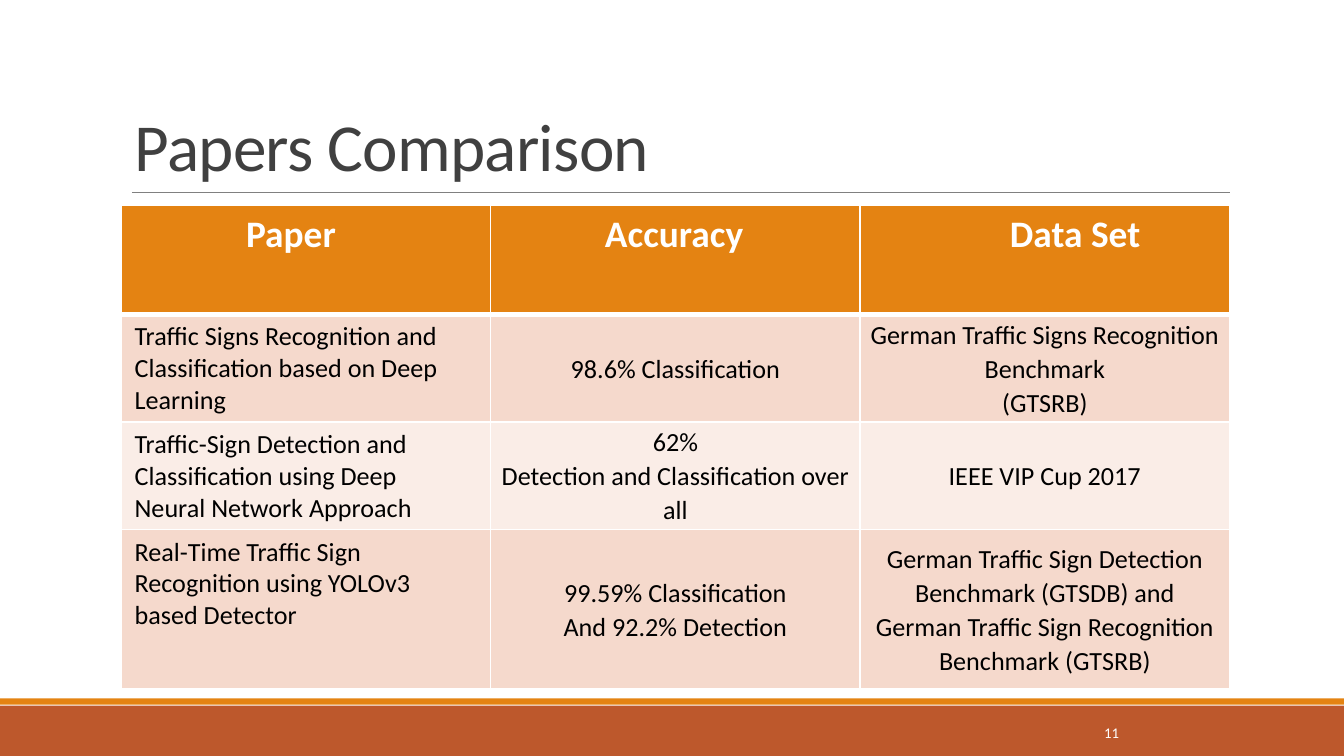
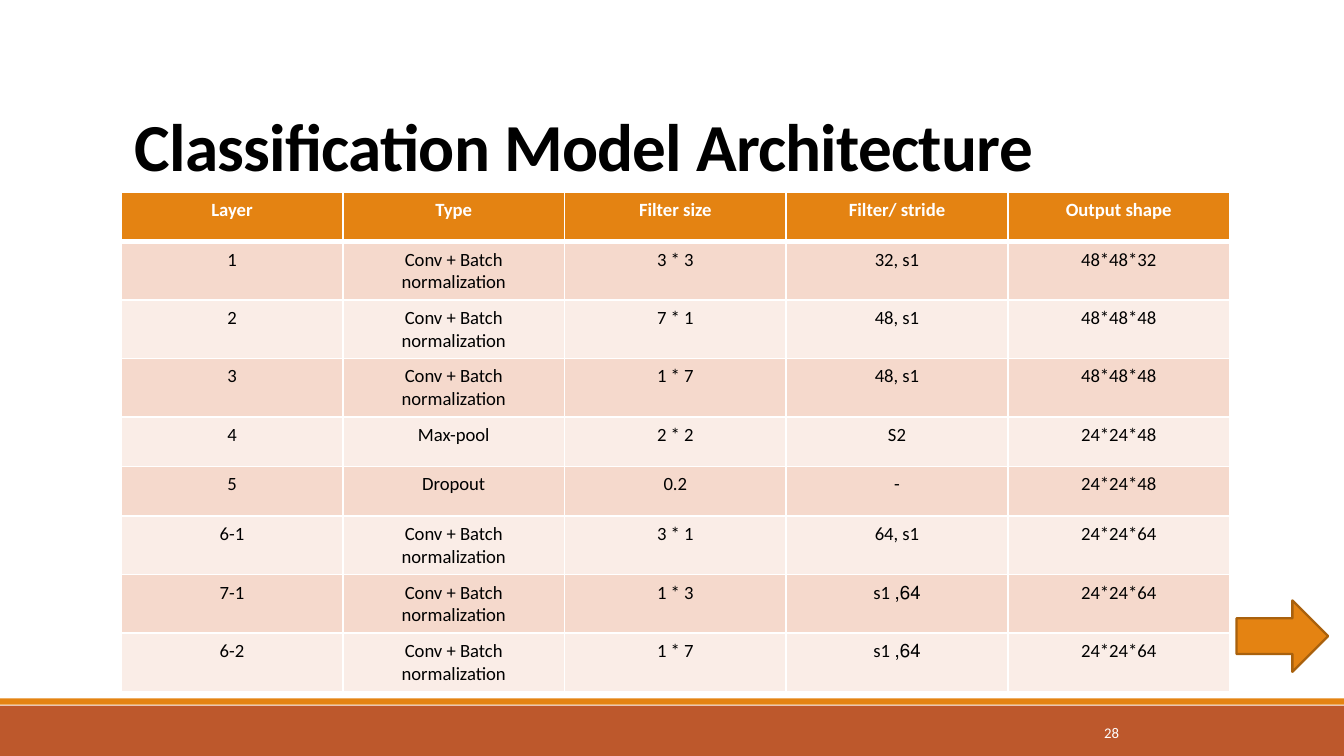
import collections

import lxml.etree
import pptx
import pptx.dml.color
import pptx.enum.shapes
import pptx.enum.text
import pptx.oxml.ns
import pptx.util

Cm = pptx.util.Cm
Pt = pptx.util.Pt
ALIGN = pptx.enum.text.PP_ALIGN
ANCHOR = pptx.enum.text.MSO_ANCHOR
SHAPE = pptx.enum.shapes.MSO_SHAPE
Box = collections.namedtuple("Box", "left top width height")

# Shared look, lengths in centimetres
FONT = "Calibri"
ORANGE, RUST, WHITE, BLACK = "E48312", "BD582C", "FFFFFF", "000000"
BAND_FILLS = ("F5D9CC", "FAEDE7")
PAGE = Box(0, 0, 25.4, 14.29)
TITLE = Box(2.29, 0.61, 20.95, 3.02)
FOOTER = Box(0, 13.2, 25.4, 1.09)

PAPER_HEADERS = ("Paper", "Accuracy", "Data Set")
HEADER_INDENTS = (2.36, 2.16, 2.83)
PAPERS = (
    ("Traffic Signs Recognition and Classification based on Deep Learning",
     "98.6% Classification",
     "German Traffic Signs Recognition Benchmark\n(GTSRB)"),
    ("Traffic-Sign Detection and Classification using Deep\nNeural Network Approach",
     "62%\nDetection and Classification over all",
     "IEEE VIP Cup 2017"),
    ("Real-Time Traffic Sign Recognition using YOLOv3 based Detector",
     "99.59% Classification\nAnd 92.2% Detection",
     "German Traffic Sign Detection Benchmark (GTSDB) and\n"
     "German Traffic Sign Recognition Benchmark (GTSRB)"),
)

CONVOLUTION = "Conv + Batch normalization"
LAYER_HEADERS = ("Layer", "Type", "Filter size", "Filter/ stride", "Output shape")
LAYERS = (
    ("1", CONVOLUTION, "3 * 3", "32, s1", "48*48*32"),
    ("2", CONVOLUTION, "7 * 1", "48, s1", "48*48*48"),
    ("3", CONVOLUTION, "1 * 7", "48, s1", "48*48*48"),
    ("4", "Max-pool", "2 * 2", "S2", "24*24*48"),
    ("5", "Dropout", "0.2", "-", "24*24*48"),
    ("6-1", CONVOLUTION, "3 * 1", "64, s1", "24*24*64"),
    ("7-1", CONVOLUTION, "1 * 3", "64, s1", "24*24*64"),
    ("6-2", CONVOLUTION, "1 * 7", "64, s1", "24*24*64"),
)
RIGHT_TO_LEFT_STRIDES = ("7-1", "6-2")


def color(hex_value):
    return pptx.dml.color.RGBColor.from_string(hex_value)


def set_values(target, values):
    for name, value in values.items():
        setattr(target, name, value)


def lengths(box):
    return [Cm(value) for value in box]


def write_text(frame, text, size, hex_value, bold=False, right_to_left=False, **paragraph_values):
    """Write one paragraph for each line of text."""
    for index, line in enumerate(text.split("\n")):
        paragraph = frame.paragraphs[0] if index == 0 else frame.add_paragraph()
        set_values(paragraph, paragraph_values)
        if right_to_left:
            paragraph._p.get_or_add_pPr().set("rtl", "1")
        run = paragraph.add_run()
        run.text = line
        set_values(run.font, {"name": FONT, "size": Pt(size), "bold": bold})
        run.font.color.rgb = color(hex_value)


def add_block(slide, kind, box, fill, outline=None):
    shape = slide.shapes.add_shape(kind, *lengths(box))
    shape.shadow.inherit = False
    shape.fill.solid()
    shape.fill.fore_color.rgb = color(fill)
    if outline:
        shape.line.color.rgb = color(outline)
        shape.line.width = Pt(1.25)
    else:
        shape.line.fill.background()


def add_title(slide, box, text, hex_value, bold):
    title = slide.shapes.title
    set_values(title, dict(zip(box._fields, lengths(box))))
    set_values(title.text_frame, {
        "vertical_anchor": ANCHOR.BOTTOM, "word_wrap": True,
        "auto_size": pptx.enum.text.MSO_AUTO_SIZE.NONE})
    write_text(title.text_frame, text, 36, hex_value, bold,
               alignment=ALIGN.LEFT, line_spacing=0.85)
    for run in title.text_frame.paragraphs[0].runs:
        run._r.get_or_add_rPr().set("spc", "-40")

    # Rule along the bottom of the title
    bottom = box.top + box.height
    rule = slide.shapes.add_connector(
        pptx.enum.shapes.MSO_CONNECTOR.STRAIGHT,
        *lengths((box.left + 0.2, bottom, box.left + box.width, bottom)))
    rule.line.color.rgb = color("808080")
    rule.line.width = Pt(0.5)
    lxml.etree.SubElement(rule._element.spPr, pptx.oxml.ns.qn("a:effectLst"))


def add_footer(slide, box, number):
    strip = 0.14
    add_block(slide, SHAPE.RECTANGLE,
              Box(box.left, box.top + strip, box.width, box.height - strip), RUST)
    add_block(slide, SHAPE.RECTANGLE, box._replace(height=strip - 0.02), ORANGE)
    label = slide.shapes.add_textbox(
        *lengths(Box(box.left + 20.62, box.top + 0.26, 2.74, 0.76)))
    set_values(label.text_frame, {"word_wrap": True, "vertical_anchor": ANCHOR.MIDDLE})
    write_text(label.text_frame, number, 7.9, WHITE)


def add_borders(cell, top, bottom):
    """Draw white edges of the given widths in points; the sides are one point."""
    properties = cell._tc.get_or_add_tcPr()
    for index, (edge, width) in enumerate(
            {"lnL": 1, "lnR": 1, "lnT": top, "lnB": bottom}.items()):
        line = lxml.etree.Element(pptx.oxml.ns.qn("a:" + edge), w=str(Pt(width)))
        fill = lxml.etree.SubElement(line, pptx.oxml.ns.qn("a:solidFill"))
        lxml.etree.SubElement(fill, pptx.oxml.ns.qn("a:srgbClr"), val=WHITE)
        properties.insert(index, line)


def add_grid(slide, box, column_count, row_heights):
    """Add an empty table with equal columns, an orange header and banded rows."""
    table = slide.shapes.add_table(len(row_heights), column_count, *lengths(box)).table
    for column in table.columns:
        column.width = Cm(box.width / column_count)
    for row_index, height in enumerate(row_heights):
        table.rows[row_index].height = Cm(height)
        for cell in table.rows[row_index].cells:
            cell.fill.solid()
            cell.fill.fore_color.rgb = color(
                BAND_FILLS[(row_index - 1) % 2] if row_index else ORANGE)
            add_borders(cell, top=3 if row_index == 1 else 1, bottom=1 if row_index else 3)
    return table


def add_papers_table(slide, box):
    table = add_grid(slide, box, len(PAPER_HEADERS), (2.06, 1.98, 1.98, 3.02))
    for column, (header, indent) in enumerate(zip(PAPER_HEADERS, HEADER_INDENTS)):
        cell = table.cell(0, column)
        cell.margin_left = Cm(indent)
        write_text(cell.text_frame, header, 20, WHITE, bold=True)
    for row, paper in enumerate(PAPERS, 1):
        for column, text in enumerate(paper):
            cell = table.cell(row, column)
            values = {}
            if column:
                set_values(cell, {
                    "vertical_anchor": ANCHOR.MIDDLE, "margin_top": 0, "margin_bottom": 0,
                    "margin_left": Cm(0.15), "margin_right": Cm(0.15)})
                values = {"alignment": ALIGN.CENTER, "line_spacing": 1.07}
            write_text(cell.text_frame, text, 14, BLACK, **values)


def add_layers_table(slide, box):
    row_heights = [0.94] + [1.07 if layer[1] == CONVOLUTION else 0.94 for layer in LAYERS]
    table = add_grid(slide, box, len(LAYER_HEADERS), row_heights)
    for row, layer in enumerate((LAYER_HEADERS,) + LAYERS):
        for column, text in enumerate(layer):
            right_to_left = text == CONVOLUTION or (
                column == 3 and layer[0] in RIGHT_TO_LEFT_STRIDES)
            write_text(table.cell(row, column).text_frame, text, 10,
                       BLACK if row else WHITE, bold=row == 0,
                       right_to_left=right_to_left, alignment=ALIGN.CENTER)


def add_base_slide(presentation, title, number, title_color, bold=False):
    slide = presentation.slides.add_slide(presentation.slide_layouts[5])
    add_footer(slide, FOOTER, number)
    add_title(slide, TITLE, title, title_color, bold)
    return slide


def main():
    presentation = pptx.Presentation()
    presentation.slide_width = Cm(PAGE.width)
    presentation.slide_height = Cm(PAGE.height)

    # Comparison of papers
    slide = add_base_slide(presentation, "Papers Comparison", "11", "404040")
    add_papers_table(slide, Box(TITLE.left, 3.88, TITLE.width, 9.04))

    # Layers of the model, with an arrow to the following part
    slide = add_base_slide(
        presentation, "Classification Model Architecture", "28", BLACK, bold=True)
    add_layers_table(slide, Box(TITLE.left, 3.63, TITLE.width, 9.24))
    add_block(slide, SHAPE.RIGHT_ARROW, Box(23.37, 11.35, 1.73, 1.35), ORANGE, "A9610D")

    presentation.save("out.pptx")


if __name__ == "__main__":
    main()
